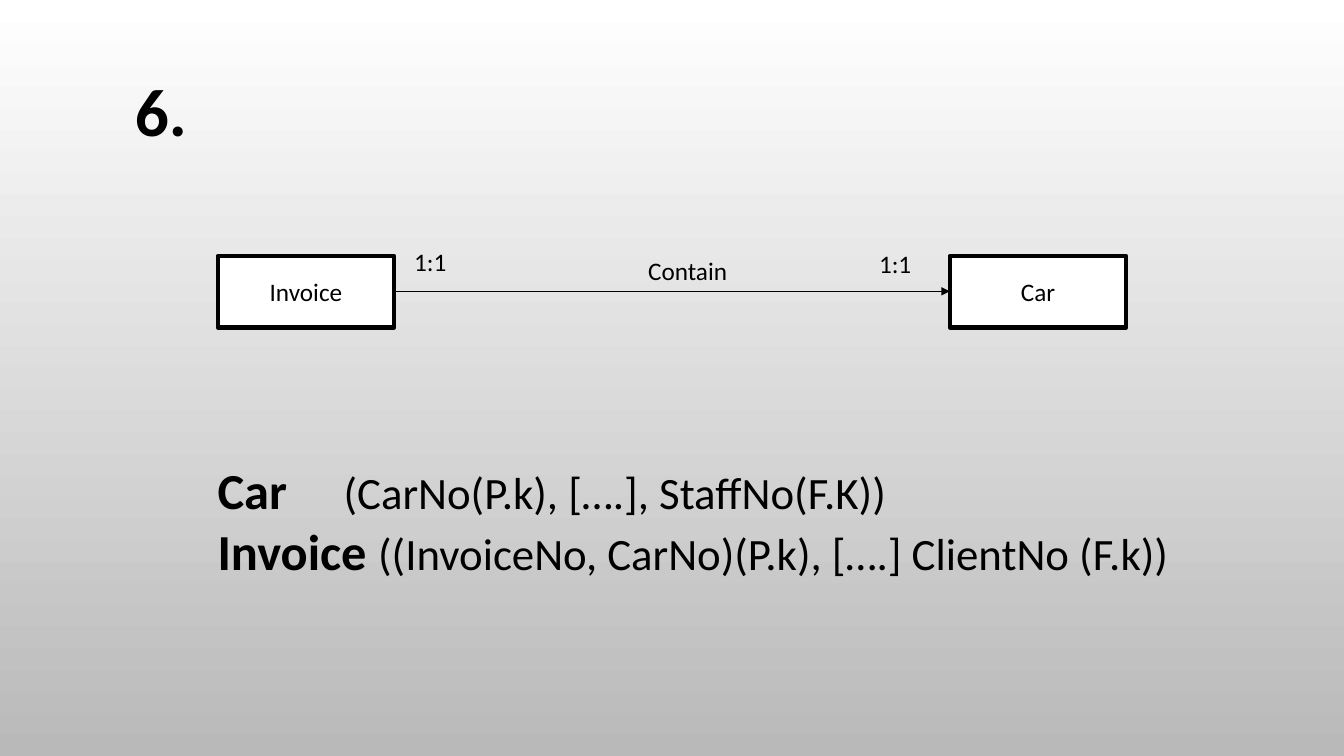
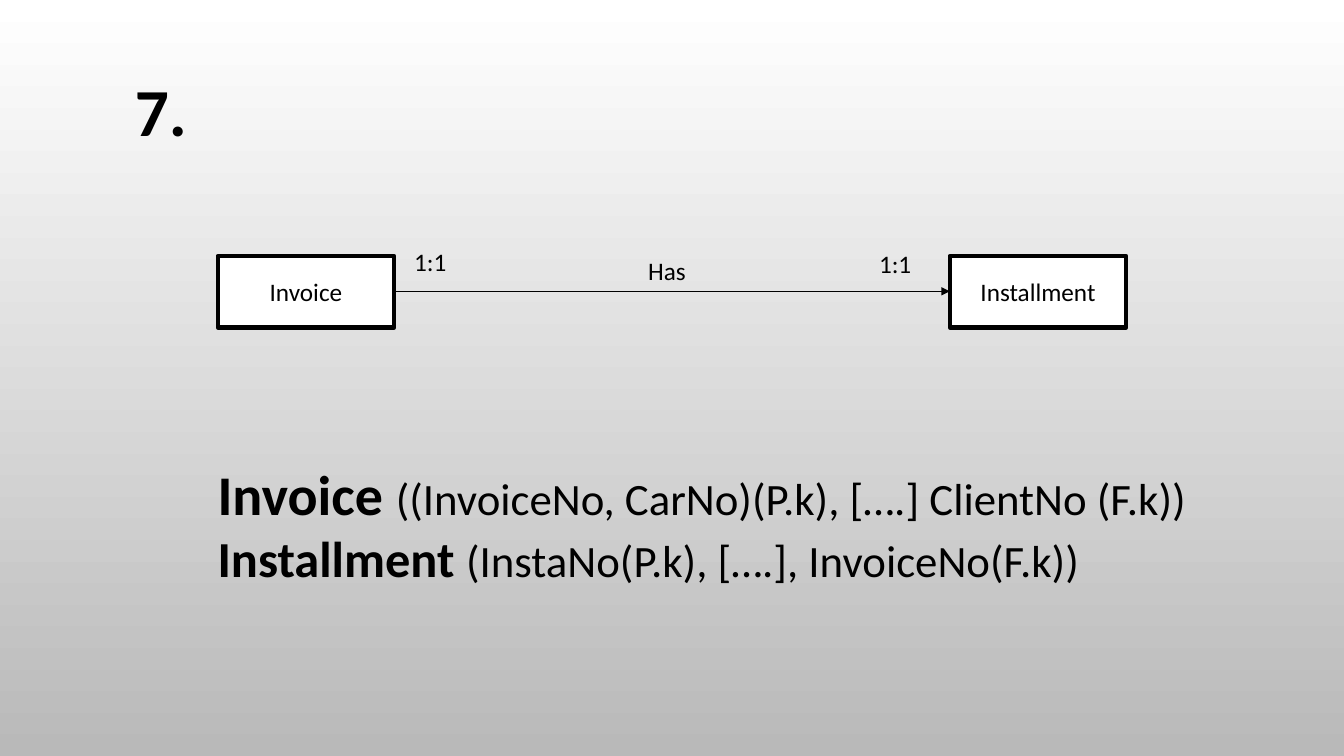
"""Build two entity-relationship slides with their relational schemas."""
from lxml import etree
from pptx import Presentation
from pptx.dml.color import RGBColor
from pptx.enum import shapes, text
from pptx.oxml.ns import qn
from pptx.util import Inches, Pt

COLORS = {"ink": "000000", "paper": "FFFFFF", "shade": "B9B9B9"}
FONT = "Calibri"
BOX_TOP, BOX_WIDTH, BOX_HEIGHT = 2.54, 1.75, 0.71
LEFT_BOX, RIGHT_BOX = 2.16, 9.42
LINE_Y = 2.89
ATTRIBUTES_TAB = 1.25

INVOICE_ATTRIBUTES = "((InvoiceNo, CarNo)(P.k), [….] ClientNo (F.k))"
RELATIONS = [
    {
        "number": "6.",
        "entities": ("Invoice", "Car"),
        "verb": "Contain",
        "schema_width": 10.77,
        "schema": [
            [("Car\t", 36, True), ("(CarNo(P.k), [….], StaffNo(F.K))", 32, False)],
            [("Invoice ", 36, True), (INVOICE_ATTRIBUTES, 32, False)],
        ],
    },
    {
        "number": "7.",
        "entities": ("Invoice", "Installment"),
        "verb": "Has",
        "schema_width": 11.14,
        "schema": [
            [("Invoice ", 40, True), (INVOICE_ATTRIBUTES, 32, False)],
            [("Installment ", 36, True), ("(InstaNo(P.k), [….], InvoiceNo(F.k))", 32, False)],
        ],
    },
]


def write(frame, lines, align=text.PP_ALIGN.LEFT):
    frame.word_wrap = True
    for index, line in enumerate(lines):
        paragraph = frame.add_paragraph() if index else frame.paragraphs[0]
        paragraph.alignment = align
        for words, size, bold in line:
            run = paragraph.add_run()
            run.text = words
            run.font.name = FONT
            run.font.size = Pt(size)
            run.font.bold = bold
            run.font.color.rgb = RGBColor.from_string(COLORS["ink"])


def add_label(slide, left, top, width, height, lines):
    frame = slide.shapes.add_textbox(
        Inches(left), Inches(top), Inches(width), Inches(height)).text_frame
    write(frame, lines)
    frame.auto_size = text.MSO_AUTO_SIZE.SHAPE_TO_FIT_TEXT
    return frame


prs = Presentation()
prs.slide_width, prs.slide_height = Inches(13.33), Inches(7.5)

backdrop = prs.slide_master.background.fill
backdrop.gradient()
backdrop.gradient_angle = 270
for stop, shade in zip(backdrop.gradient_stops, ("paper", "shade")):
    stop.color.rgb = RGBColor.from_string(COLORS[shade])

for relation in RELATIONS:
    slide = prs.slides.add_slide(prs.slide_layouts[6])
    add_label(slide, 1.24, 0.64, 1.64, 1.03, [[(relation["number"], 48, True)]])

    for left, name in zip((LEFT_BOX, RIGHT_BOX), relation["entities"]):
        entity = slide.shapes.add_shape(
            shapes.MSO_SHAPE.RECTANGLE, Inches(left), Inches(BOX_TOP),
            Inches(BOX_WIDTH), Inches(BOX_HEIGHT))
        entity.shadow.inherit = False
        entity.fill.solid()
        entity.fill.fore_color.rgb = RGBColor.from_string(COLORS["paper"])
        entity.line.color.rgb = RGBColor.from_string(COLORS["ink"])
        entity.line.width = Pt(3.15)
        entity.text_frame.vertical_anchor = text.MSO_ANCHOR.MIDDLE
        write(entity.text_frame, [[(name, 18, False)]], text.PP_ALIGN.CENTER)

    link = slide.shapes.add_connector(
        shapes.MSO_CONNECTOR.STRAIGHT, Inches(LEFT_BOX + BOX_WIDTH), Inches(LINE_Y),
        Inches(RIGHT_BOX), Inches(LINE_Y))
    link.line.color.rgb = RGBColor.from_string(COLORS["ink"])
    link.line.width = Pt(0.9)
    etree.SubElement(link.line._get_or_add_ln(), qn("a:tailEnd"), type="triangle")
    etree.SubElement(link._element.spPr, qn("a:effectLst"))

    for left, top, width, words in (
        (4.01, 2.39, 0.54, "1:1"),
        (8.62, 2.41, 0.7, "1:1"),
        (6.33, 2.48, 1.17, relation["verb"]),
    ):
        add_label(slide, left, top, width, 0.4, [[(words, 18, False)]])

    schema = add_label(slide, 2.06, 4.51, relation["schema_width"], 1.31, relation["schema"])
    for paragraph in schema.paragraphs:
        if "\t" in paragraph.text:
            tabs = etree.SubElement(paragraph._p.get_or_add_pPr(), qn("a:tabLst"))
            etree.SubElement(tabs, qn("a:tab"), pos=str(Inches(ATTRIBUTES_TAB)), algn="l")

prs.save("out.pptx")
